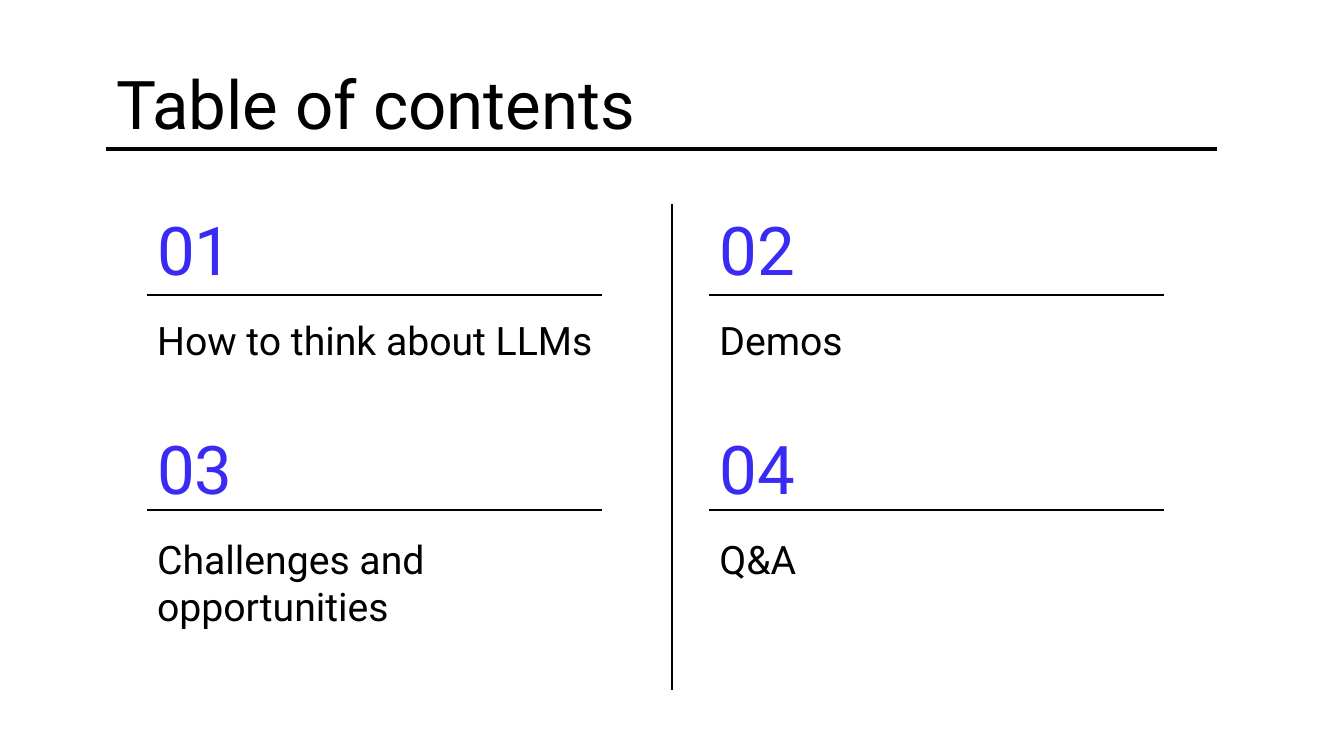
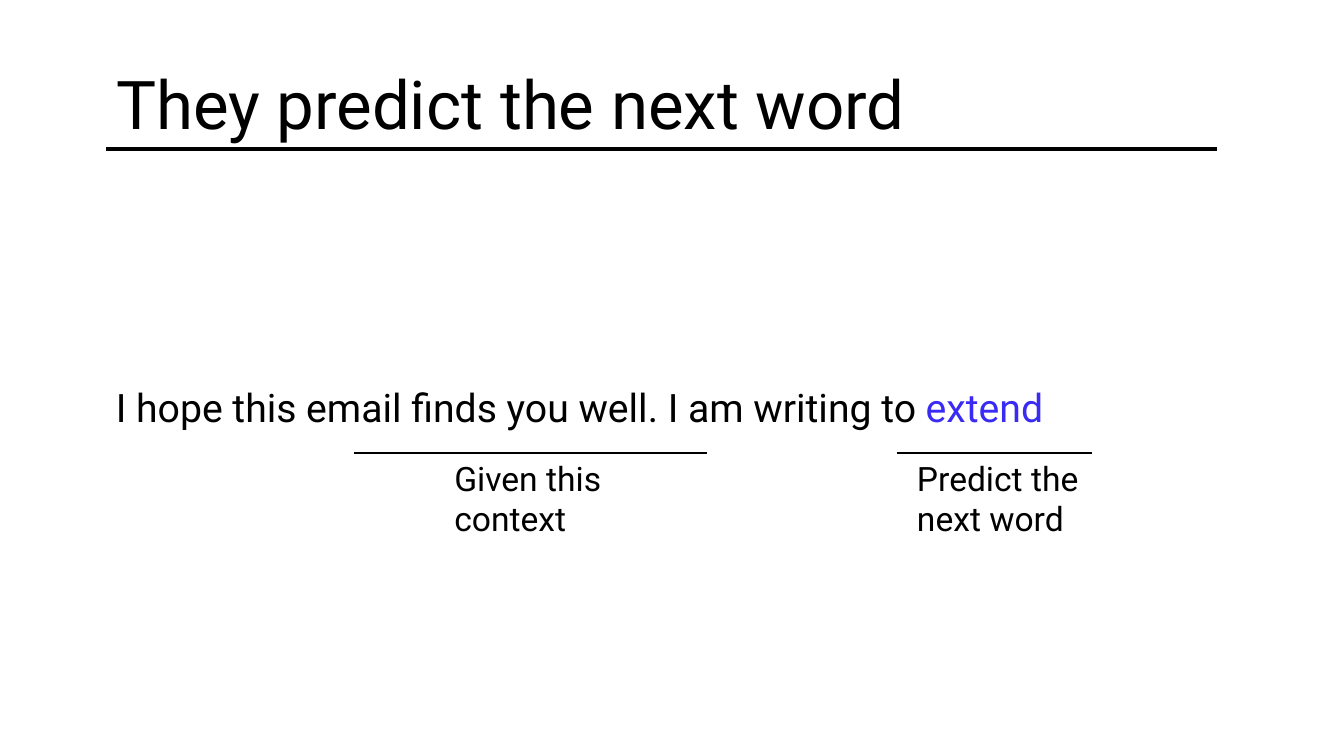
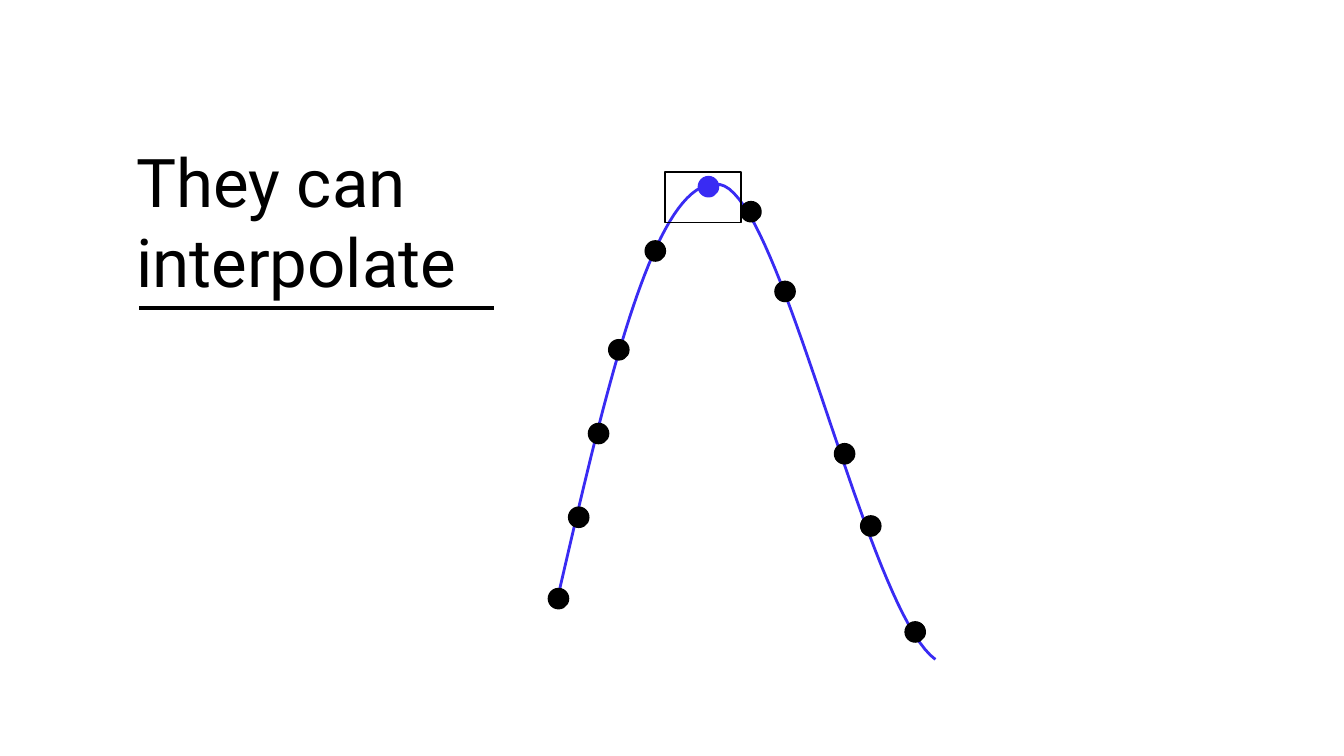
from lxml.etree import SubElement
from pptx import Presentation
from pptx.dml.color import RGBColor
from pptx.enum.shapes import MSO_CONNECTOR, MSO_SHAPE
from pptx.enum.text import MSO_ANCHOR, MSO_AUTO_SIZE, PP_ALIGN
from pptx.oxml.ns import qn
from pptx.util import Cm, Pt

BLACK = "000000"
ACCENT = "392BF3"
FONT = "Roboto"
TITLE_SIZE, BODY_SIZE, CAPTION_SIZE = 48, 28, 24
MARGIN = 2.67


def color(value):
    return RGBColor.from_string(value)


def bezier(points, t):
    """Point at t on a cubic curve with four control points."""
    weights = ((1 - t) ** 3, 3 * t * (1 - t) ** 2, 3 * t ** 2 * (1 - t), t ** 3)
    return tuple(sum(w * p[axis] for w, p in zip(weights, points)) for axis in (0, 1))


class Deck:
    """Shared style and the current slide; all lengths are centimetres."""

    def __init__(self):
        self.presentation = Presentation()
        self.presentation.slide_width = Cm(33.87)
        self.presentation.slide_height = Cm(19.05)
        self.slide = None

    def fill_text(self, shape, runs, size, auto_size):
        frame = shape.text_frame
        settings = {"word_wrap": True, "auto_size": auto_size,
                    "vertical_anchor": MSO_ANCHOR.TOP}
        for name, value in settings.items():
            setattr(frame, name, value)
        paragraph = frame.paragraphs[0]
        paragraph.alignment = PP_ALIGN.LEFT
        for text, run_color in runs:
            run = paragraph.add_run()
            run.text = text
            for name, value in {"name": FONT, "size": Pt(size)}.items():
                setattr(run.font, name, value)
            run.font.color.rgb = color(run_color)

    def add_slide(self, title, box, rule):
        """New slide with a title and the thick rule (left, right, y) below it."""
        self.slide = self.presentation.slides.add_slide(
            self.presentation.slide_layouts[5])
        shape = self.slide.shapes.title
        for name, value in zip(("left", "top", "width", "height"), box):
            setattr(shape, name, Cm(value))
        self.fill_text(shape, [(title, BLACK)], TITLE_SIZE, MSO_AUTO_SIZE.NONE)
        left, right, y = rule
        self.line(left, y, right, y, width=3)

    def text(self, left, top, width, height, runs, size=BODY_SIZE):
        shape = self.slide.shapes.add_textbox(Cm(left), Cm(top), Cm(width), Cm(height))
        self.fill_text(shape, runs, size, MSO_AUTO_SIZE.SHAPE_TO_FIT_TEXT)

    def line(self, x1, y1, x2, y2, width=1.75):
        connector = self.slide.shapes.add_connector(
            MSO_CONNECTOR.STRAIGHT, Cm(x1), Cm(y1), Cm(x2), Cm(y2))
        connector.line.color.rgb = color(BLACK)
        connector.line.width = Pt(width)
        SubElement(connector._element.spPr, qn("a:effectLst"))

    def outline(self, shape, line_color, width, fill=None):
        shape.shadow.inherit = False
        if fill:
            shape.fill.solid()
            shape.fill.fore_color.rgb = color(fill)
        else:
            shape.fill.background()
        shape.line.color.rgb = color(line_color)
        shape.line.width = Pt(width)

    def shape(self, kind, left, top, width, height, line_color, line_width, fill=None):
        shape = self.slide.shapes.add_shape(
            kind, Cm(left), Cm(top), Cm(width), Cm(height))
        self.outline(shape, line_color, line_width, fill)

    def dot(self, left, top, dot_color=BLACK):
        self.shape(MSO_SHAPE.OVAL, left, top, 0.51, 0.51, dot_color, 1, dot_color)

    def curve(self, points, line_color, width):
        vertices = [(Cm(x), Cm(y)) for x, y in points]
        builder = self.slide.shapes.build_freeform(*vertices[0], scale=1.0)
        builder.add_line_segments(vertices[1:], close=False)
        self.outline(builder.convert_to_shape(), line_color, width)


def contents_slide(deck):
    deck.add_slide("Table of contents", (MARGIN, 1.45, 16.94, 2.31),
                   (MARGIN, 30.66, 3.76))
    deck.line(16.94, 5.13, 16.94, 17.4)

    # Four numbered topics in a two by two grid
    columns = (3.71, 17.88)
    rows = ((5.13, 7.44, 11.73), (10.64, 12.85, 11.46))
    topics = ("How to think about LLMs", "Demos", "Challenges and opportunities", "Q&A")
    for index, topic in enumerate(topics):
        left = columns[index % 2]
        top, rule_y, width = rows[index // 2]
        deck.text(left, top, 2.69, 2.31, [(f"{index + 1:02}", ACCENT)], TITLE_SIZE)
        deck.line(left, rule_y, left + 11.46, rule_y)
        deck.text(left, top + 2.72, width, 1.45, [(topic, BLACK)])


def prediction_slide(deck):
    deck.add_slide("They predict the next word", (MARGIN, 1.45, 21.39, 2.31),
                   (MARGIN, 30.66, 3.76))
    deck.text(MARGIN, 9.53, 24.05, 1.45, [
        ("I hope this email finds you well. I am writing to ", BLACK),
        ("extend", ACCENT)])

    # Captions under the context and under the predicted word
    captions = (("Given this context", 11.2, 4.32, 8.92, 17.81),
                ("Predict the next word", 22.86, 4.67, 22.61, 27.53))
    for caption, left, width, rule_left, rule_right in captions:
        deck.line(rule_left, 11.41, rule_right, 11.41)
        deck.text(left, 11.41, width, 2.31, [(caption, BLACK)], CAPTION_SIZE)


def interpolation_slide(deck):
    deck.add_slide("They can interpolate", (3.18, 3.4, 9.27, 4.37),
                   (3.51, 12.45, 7.77))

    # Smooth curve: a rising and a falling part, the latter cut off early
    rise = ((14.05, 15.09), (15.29, 9.73), (16.51, 4.37), (18.14, 4.65))
    fall = ((18.14, 4.65), (19.79, 4.93), (22.12, 16.74), (23.9, 16.74))
    steps = 40
    points = [bezier(rise, step / steps) for step in range(steps)]
    points += [bezier(fall, 0.94 * step / steps) for step in range(steps + 1)]
    deck.curve(points, ACCENT, 2)

    # Known points, then the interpolated one in its frame
    known = ((13.82, 14.83), (14.33, 12.78), (14.83, 10.67), (15.34, 8.56),
             (16.26, 6.07), (18.67, 5.08), (19.53, 7.09), (21.03, 11.18),
             (21.69, 13), (22.81, 15.67))
    for left, top in known:
        deck.dot(left, top)
    deck.dot(17.6, 4.45, ACCENT)
    deck.shape(MSO_SHAPE.RECTANGLE, 16.76, 4.34, 1.91, 1.27, BLACK, 1.25)


def main():
    deck = Deck()
    contents_slide(deck)
    prediction_slide(deck)
    interpolation_slide(deck)
    deck.presentation.save("out.pptx")


if __name__ == "__main__":
    main()
